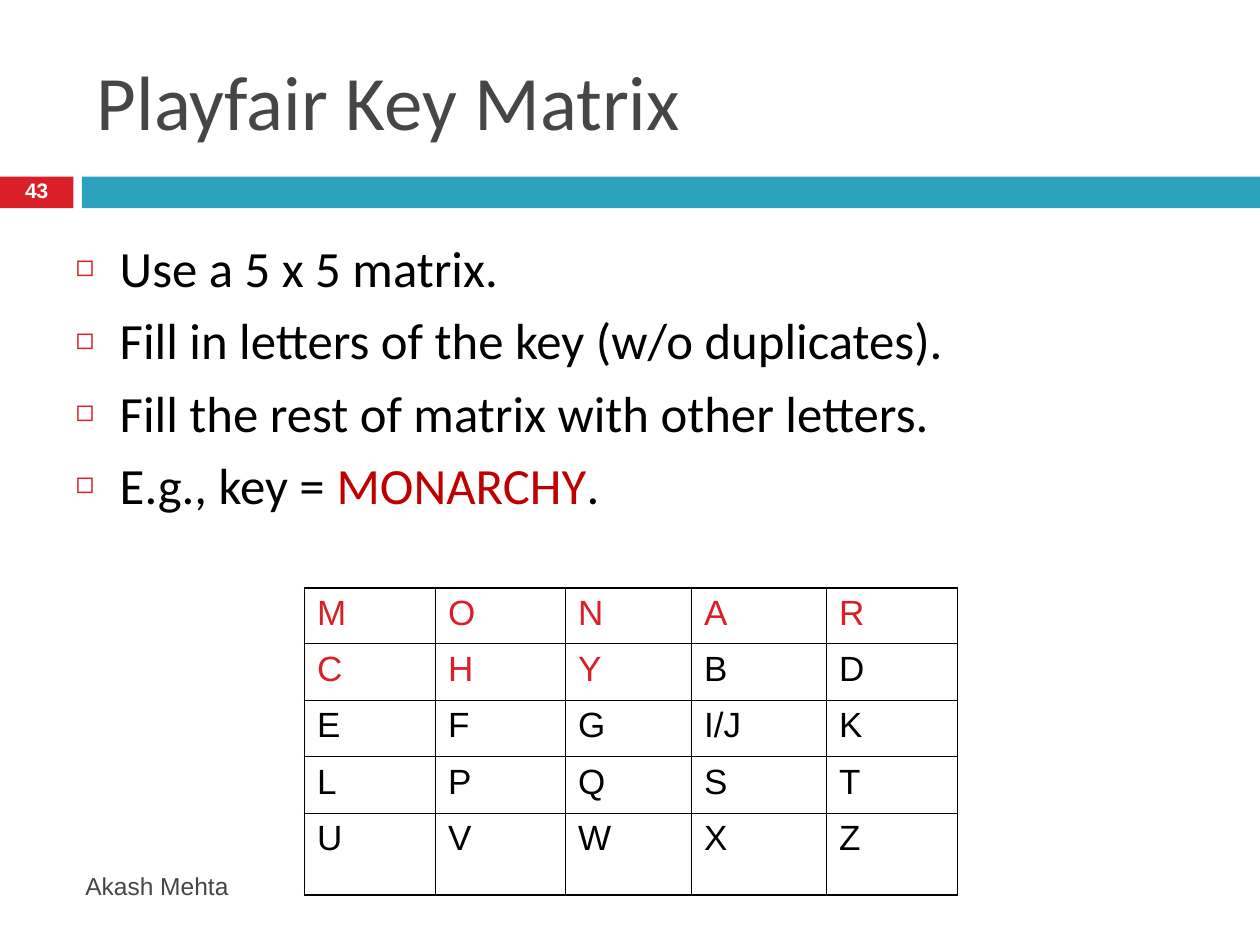
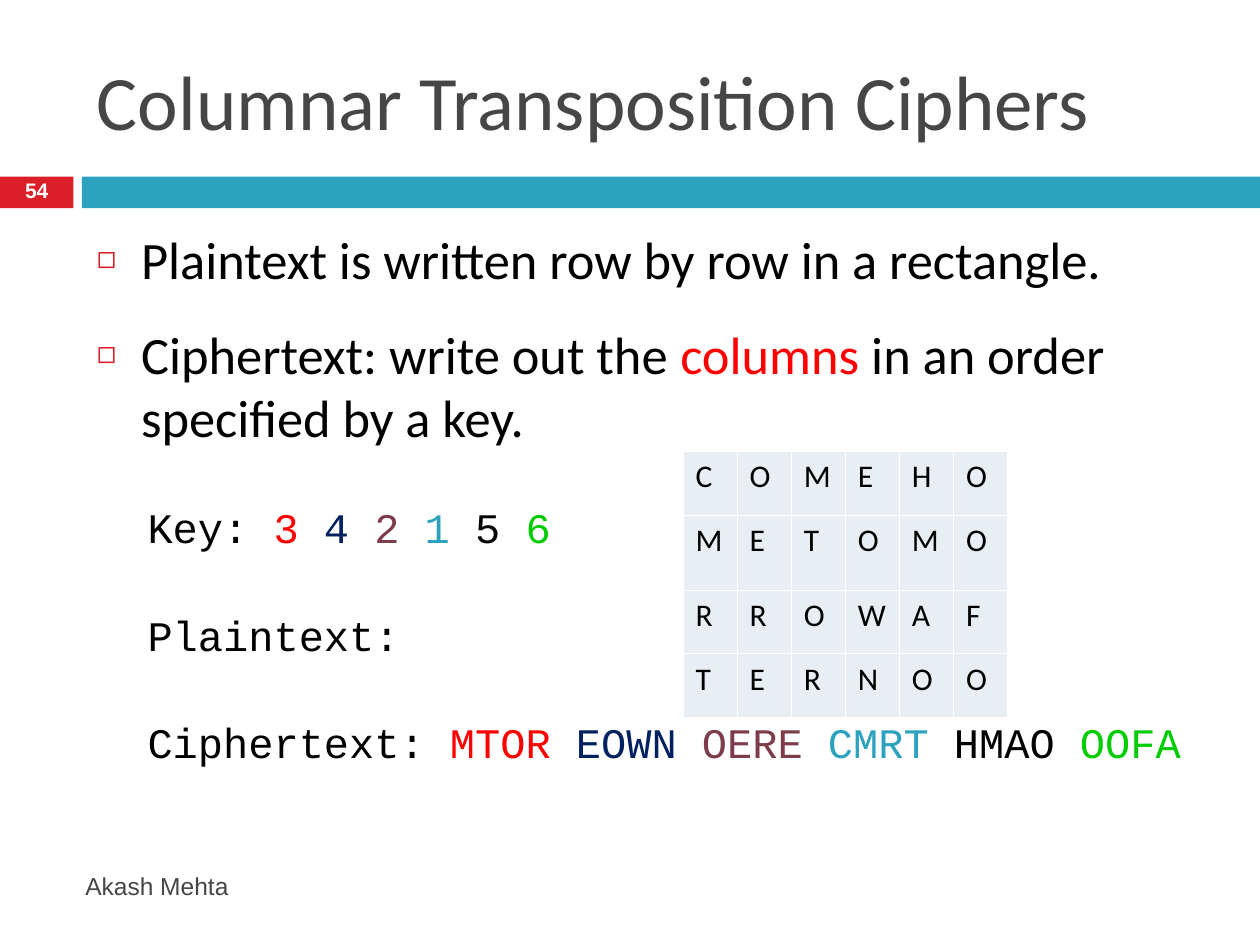
from lxml.etree import SubElement
from pptx import Presentation
from pptx.dml.color import RGBColor
from pptx.enum.shapes import MSO_SHAPE
from pptx.enum.text import MSO_ANCHOR, MSO_AUTO_SIZE, PP_ALIGN
from pptx.oxml import parse_xml
from pptx.oxml.ns import nsdecls, qn
from pptx.util import Cm, Pt

HUES = {
    "black": "000000", "white": "FFFFFF", "grey": "464646",
    "badge": "DA1F28", "teal": "2DA2BF", "crimson": "C00000",
    "red": "FF0000", "navy": "002060", "plum": "7D3C4A",
    "green": "00CC00", "pale": "E9EDF4",
}
PLAIN, SANS, MONO = "Calibri", "Arial", "Courier New"
TITLE = (1.7, 0.64, 22.66, 2.74)
BADGE = (0, 3.56, 1.48, 0.64)
BAND = (1.65, 3.56, 23.75, 0.64)
FOOTER = (1.47, 17.35, 15.06, 1.02)
KEY = "MONARCHY"
INDENT = 0.89


def tint(name):
    return RGBColor.from_string(HUES[name])


def place(shape, box):
    shape.left, shape.top, shape.width, shape.height = map(Cm, box)


def style(para, face, size, hue=None):
    font = para.font
    font.name, font.size = face, Pt(size)
    if hue:
        font.color.rgb = tint(hue)


def bar(slide, box, hue):
    shape = slide.shapes.add_shape(MSO_SHAPE.RECTANGLE, *map(Cm, box))
    shape.shadow.inherit = False
    shape.fill.solid()
    shape.fill.fore_color.rgb = tint(hue)
    shape.line.fill.background()
    return shape


def badge(slide, number):
    frame = bar(slide, BADGE, "badge").text_frame
    frame.margin_top = frame.margin_bottom = 0
    frame.vertical_anchor = MSO_ANCHOR.MIDDLE
    para = frame.paragraphs[0]
    para.text = str(number)
    para.alignment = PP_ALIGN.CENTER
    para.line_spacing = 0.8
    style(para, SANS, 12, "white")
    para.font.bold = True


def footer(slide):
    frame = slide.shapes.add_textbox(*map(Cm, FOOTER)).text_frame
    frame.word_wrap = True
    frame.vertical_anchor = MSO_ANCHOR.MIDDLE
    para = frame.paragraphs[0]
    para.text = "Akash Mehta"
    style(para, SANS, 14, "grey")


def base(deck, title, number):
    """Add a slide with the shared title, bands and footer."""
    slide = deck.slides.add_slide(deck.slide_layouts[1])
    head = slide.shapes.title
    place(head, TITLE)
    head.text_frame.vertical_anchor = MSO_ANCHOR.MIDDLE
    para = head.text_frame.paragraphs[0]
    para.text = title
    para.alignment = PP_ALIGN.LEFT
    style(para, PLAIN, 44, "grey")
    bar(slide, BAND, "teal")
    badge(slide, number)
    footer(slide)
    return slide


def body(slide, box):
    shape = slide.placeholders[1]
    place(shape, box)
    frame = shape.text_frame
    frame.word_wrap = True
    frame.auto_size = MSO_AUTO_SIZE.NONE
    return frame


def add(frame, parts, gap):
    """Append a paragraph of (text, colour) parts, reusing the empty first one."""
    para = frame.paragraphs[0]
    if para.runs:
        para = frame.add_paragraph()
        para.space_before = Pt(gap)
    else:
        para.space_before = Pt(0)
    for text, hue in parts:
        run = para.add_run()
        run.text = text
        run.font.color.rgb = tint(hue)
    return para


def bullet(frame, parts, size, gap):
    para = add(frame, parts, gap)
    props = para._p.get_or_add_pPr()
    props.set("marL", str(Cm(INDENT)))
    props.set("indent", str(-Cm(INDENT)))
    mark = SubElement(props, qn("a:buClr"))
    SubElement(mark, qn("a:srgbClr"), val=HUES["badge"])
    SubElement(props, qn("a:buSzPct"), val="60000")
    SubElement(props, qn("a:buChar"), char="◻")
    style(para, PLAIN, size)


def code(frame, parts, gap):
    para = add(frame, parts, gap)
    para.level = 1
    props = para._p.get_or_add_pPr()
    props.set("marL", str(Cm(1.02)))
    props.set("indent", "0")
    SubElement(props, qn("a:buNone"))
    style(para, MONO, 24)


def edge(cell, hue, widths):
    """Draw left, right, top and bottom cell borders of the given widths."""
    props = cell._tc.get_or_add_tcPr()
    for spot, (side, width) in enumerate(zip("LRTB", widths)):
        props.insert(spot, parse_xml(
            f'<a:ln{side} {nsdecls("a")} w="{Pt(width)}"><a:solidFill>'
            f'<a:srgbClr val="{HUES[hue]}"/></a:solidFill></a:ln{side}>'))


def grid(slide, spot, rows, wide, tall, face, size, line, rim, fill=None, key=""):
    """Add a letter table; letters in key are red and rim is the outer line width."""
    last, end = len(tall) - 1, len(wide) - 1
    box = (*spot, sum(wide), sum(tall))
    table = slide.shapes.add_table(len(tall), len(wide), *map(Cm, box)).table
    table.first_row = table.horz_banding = False
    for col, width in zip(table.columns, wide):
        col.width = Cm(width)
    for row, height in zip(table.rows, tall):
        row.height = Cm(height)
    for r, letters in enumerate(rows):
        for c, text in enumerate(letters.split()):
            cell = table.cell(r, c)
            if fill:
                cell.fill.solid()
                cell.fill.fore_color.rgb = tint(fill)
            else:
                cell.fill.background()
            outer = (c == 0, c == end, r == 0, r == last)
            edge(cell, line, [rim if out else 0.45 for out in outer])
            para = cell.text_frame.paragraphs[0]
            para.text = text
            style(para, face, size, "badge" if text in key else "black")


def matrix(deck):
    slide = base(deck, "Playfair Key Matrix", 43)
    frame = body(slide, (1.27, 4.65, 22.86, 7.42))
    for parts in (
        [("Use a 5 x 5 matrix.", "black")],
        [("Fill in letters of the key (w/o duplicates).", "black")],
        [("Fill the rest of matrix with other letters.", "black")],
        [("E.g., key = ", "black"), (KEY, "crimson"), (".", "black")],
    ):
        bullet(frame, parts, 29, 6.5)
    grid(slide, (6.14, 11.85),
         ["M O N A R", "C H Y B D", "E F G I/J K", "L P Q S T", "U V W X Z"],
         [2.64, 2.62, 2.54, 2.72, 2.64], [1.12, 1.14, 1.14, 1.14, 1.65],
         SANS, 20, "black", 1.08, key=KEY)


def columns(deck):
    slide = base(deck, "Columnar Transposition Ciphers", 54)
    frame = body(slide, (1.7, 4.45, 22.66, 12.5))
    bullet(frame, [("Plaintext is written row by row in a rectangle.", "black")], 30, 0)
    bullet(frame, [("Ciphertext: write out the ", "black"), ("columns", "red"),
                   (" in an order specified by a key.", "black")], 30, 18.5)
    code(frame, [("Key: ", "black"), ("3 ", "red"), ("4 ", "navy"), ("2 ", "plum"),
                 ("1", "teal"), (" 5 ", "black"), ("6", "green")], 30.5)
    code(frame, [("Plaintext:", "black")], 32.5)
    code(frame, [("Ciphertext: ", "black"), ("MTOR ", "red"), ("EOWN ", "navy"),
                 ("OERE ", "plum"), ("CMRT", "teal"), (" HMAO ", "black"),
                 ("OOFA", "green")], 32.5)
    grid(slide, (13.77, 9.1),
         ["C O M E H O", "M E T O M O", "R R O W A F", "T E R N O O"],
         [1.09] * 6, [1.28, 1.52, 1.28, 1.28],
         PLAIN, 18, "white", 0.45, fill="pale")


def main():
    deck = Presentation()
    deck.slide_width, deck.slide_height = Cm(25.4), Cm(19.05)
    matrix(deck)
    columns(deck)
    deck.save("out.pptx")


if __name__ == "__main__":
    main()
